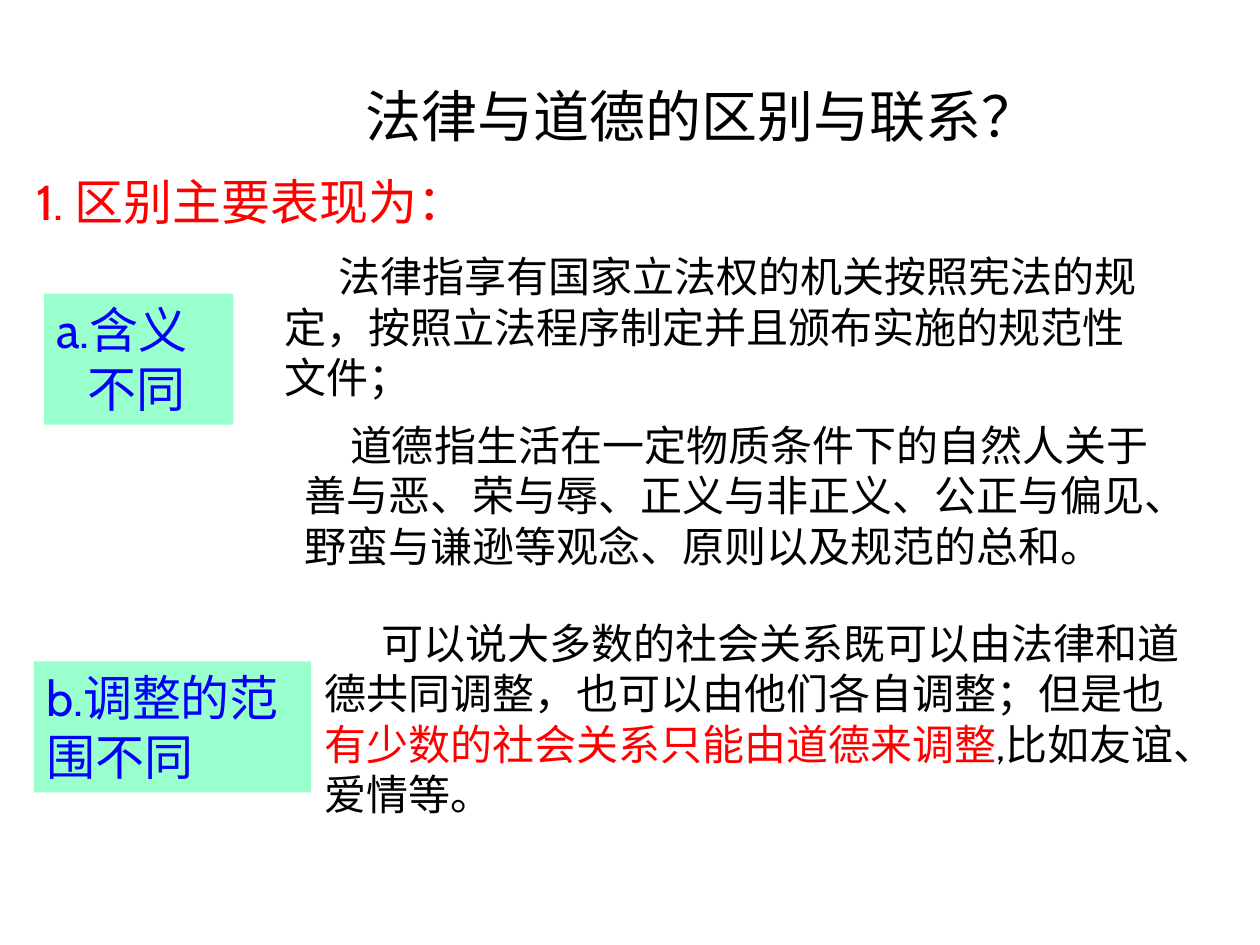
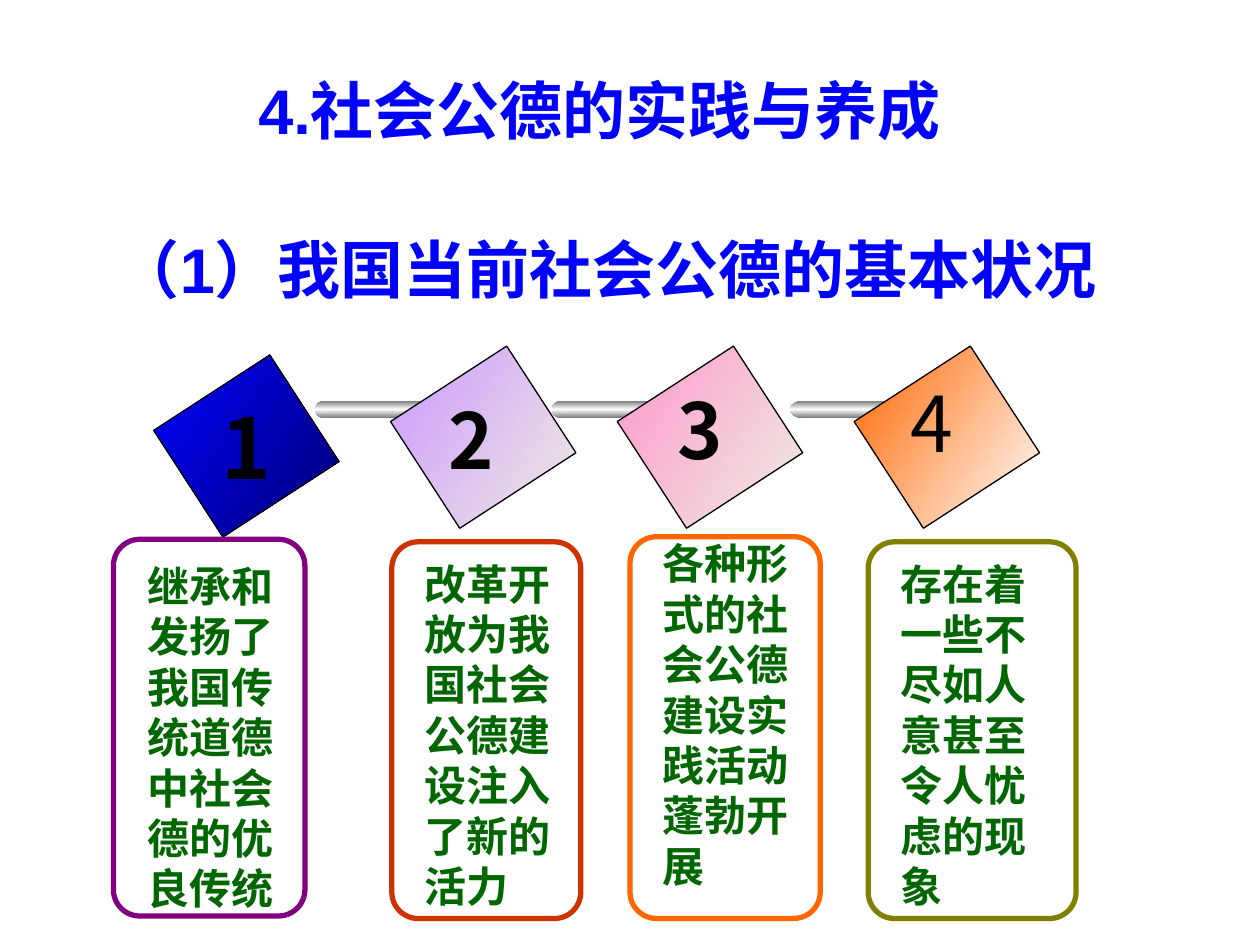
from copy import deepcopy

from pptx import Presentation
from pptx.dml.color import RGBColor
from pptx.enum.shapes import MSO_SHAPE as Shape
from pptx.enum.text import MSO_ANCHOR as Anchor, MSO_AUTO_SIZE as AutoSize, PP_ALIGN as Align
from pptx.oxml.ns import qn
from pptx.util import Inches, Pt

BLACK = RGBColor(0x00, 0x00, 0x00)
WHITE = RGBColor(0xFF, 0xFF, 0xFF)
RED = RGBColor(0xFF, 0x00, 0x00)
BLUE = RGBColor(0x00, 0x00, 0xFF)
NAVY = RGBColor(0x00, 0x00, 0x76)
MINT = RGBColor(0x99, 0xFF, 0xCC)
GREEN = RGBColor(0x00, 0x66, 0x00)
GREY = RGBColor(0x76, 0x76, 0x76)
CREAM = RGBColor(0xEE, 0xEC, 0xE1)
LILAC = RGBColor(0xCC, 0x99, 0xFF)
PINK = RGBColor(0xFF, 0x99, 0xCC)
ORANGE = RGBColor(0xFF, 0x66, 0x00)
PURPLE = RGBColor(0x80, 0x00, 0x80)
RUST = RGBColor(0xCC, 0x33, 0x00)
OLIVE = RGBColor(0x80, 0x80, 0x00)
CJK, CABIN, ARIAL = "Noto Sans CJK SC", "Cabin", "Arial"

# Slide 1: law and morality
LAW_TITLE = "法律与道德的区别与联系？"
DIFFERENCES = "1. 区别主要表现为："
# place, [(line, first-line indent)]
LABELS = [
    ((0.27, 5.25, 2.2, 1.04), [("b.调整的范围不同", 0)]),
    ((0.35, 2.33, 1.5, 1.04), [("a.含义", 0), ("不同", 0.25)]),
]
# place, first-line indent, [(text, colour)]
EXPLANATIONS = [
    ((2.16, 1.94, 7.17, 1.3), 0.43,
     [("法律指享有国家立法权的机关按照宪法的规定，按照立法程序制定并且颁布实施的规范性文件；", BLACK)]),
    ((2.48, 4.85, 7.01, 1.7), 0.45,
     [("可以说大多数的社会关系既可以由法律和道德共同调整，也可以由他们各自调整；但是也", BLACK),
      ("有少数的社会关系只能由道德来调整", RED),
      (",比如友谊、爱情等。", BLACK)]),
    ((2.32, 3.28, 7.17, 1.3), 0.36,
     [("道德指生活在一定物质条件下的自然人关于善与恶、荣与辱、正义与非正义、公正与偏见、"
       "野蛮与谦逊等观念、原则以及规范的总和。", BLACK)]),
]

# Slide 2: public morality
PRACTICE_TITLE = "4.社会公德的实践与养成"
SITUATION = "（1）我国当前社会公德的基本状况"
# left, top, gradient colours
DIAMONDS = [
    (1.45, 2.99, [BLUE, NAVY]),
    (3.33, 2.92, [LILAC, CREAM]),
    (5.13, 2.92, [PINK, CREAM]),
    (7.01, 2.92, [ORANGE, WHITE]),
]
# left, stretch of the rod that runs to the next diamond
RODS = [(2.5, 1), (4.38, 1), (6.27, 1.3)]
# shape, left, width, drop, height, white outline
ROD_PARTS = [
    (Shape.OVAL, 0, 0.17, 0, 0.14, False),
    (Shape.RECTANGLE, 0.1, 0.85, 0, 0.14, False),
    (Shape.OVAL, 0.86, 0.15, 0, 0.14, True),
    (Shape.OVAL, 0.95, 0.04, 0.05, 0.04, False),
]
ROD_TOP = 3.18
# place, size, bold
NUMBERS = [
    ((1.66, 3.09, 0.6, 0.9), 48, True),
    ((3.46, 3.07, 0.57, 0.84), 44, True),
    ((5.28, 2.99, 0.93, 0.84), 44, True),
    ((7.13, 2.93, 0.57, 0.84), 44, False),
]
# frame, outline, text left, text top, text
CARDS = [
    ((0.9, 4.28, 1.52, 2.99), PURPLE, 1.07, 4.4, "继承和发扬了我国传统道德中社会德的优良传统"),
    ((3.11, 4.3, 1.5, 2.99), RUST, 3.27, 4.38, "改革开放为我国社会公德建设注入了新的活力"),
    ((5, 4.26, 1.51, 3.03), ORANGE, 5.16, 4.22, "各种形式的社会公德建设实践活动蓬勃开展"),
    ((6.89, 4.3, 1.65, 2.99), OLIVE, 7.05, 4.38, "存在着一些不尽如人意甚至令人忧虑的现象"),
]
CARD_LINE = 3  # characters per line
CORNER = 0.21


def inches(place):
    return [Inches(length) for length in place]


def write(box, lines, font, size, colour, bold=False, wrap=True, spacing=None):
    """Fill a box with lines, each a (runs, indent) pair; runs are (text, colour)."""
    frame = box.text_frame
    frame.word_wrap = wrap
    frame.auto_size = AutoSize.SHAPE_TO_FIT_TEXT
    frame.vertical_anchor = Anchor.TOP
    for number, (runs, indent) in enumerate(lines):
        para = frame.add_paragraph() if number else frame.paragraphs[0]
        para.alignment = Align.LEFT
        if spacing:
            para.line_spacing = spacing
        properties = para._p.get_or_add_pPr()
        properties.set("indent", str(Inches(indent)))
        para.font.name = font
        para.font.size = Pt(size)
        para.font.bold = bold
        para.font.color.rgb = colour
        defaults = properties.find(qn("a:defRPr"))
        defaults.append(defaults.makeelement(qn("a:ea"), {"typeface": CJK}))
        for text, run_colour in runs:
            span = para.add_run()
            span.text = text
            if run_colour != colour:
                span.font.color.rgb = run_colour


def plain(text, colour, indent=0):
    return [(text, colour)], indent


def add_text(page, place, lines, *style, **options):
    write(page.shapes.add_textbox(*inches(place)), lines, *style, **options)


def add_page(deck, title, place, *style, **options):
    page = deck.slides.add_slide(deck.slide_layouts[5])
    heading = page.shapes.title
    heading.left, heading.top, heading.width, heading.height = inches(place)
    write(heading, [plain(title, style[-1])], *style, **options)
    return page


def add_shape(page, kind, place, line=None, weight=1):
    shape = page.shapes.add_shape(kind, *inches(place))
    shape.shadow.inherit = False
    if line is None:
        shape.line.fill.background()
    else:
        shape.line.color.rgb = line
        shape.line.width = Pt(weight)
    return shape


def shade(shape, colours, angle):
    """Spread colours evenly, at a clockwise angle fixed to the page."""
    shape.fill.gradient()
    gradient = shape.element.spPr.find(qn("a:gradFill"))
    gradient.set("rotWithShape", "0")
    stops = gradient.find(qn("a:gsLst"))
    for _ in colours[2:]:
        stops.insert(1, deepcopy(stops[0]))
    for number, (stop, colour) in enumerate(zip(shape.fill.gradient_stops, colours)):
        stop.color.rgb = colour
        stop.position = number / (len(colours) - 1)
    shape.fill.gradient_angle = 360 - angle


def add_rod(page, left, stretch):
    for kind, offset, width, drop, height, outlined in ROD_PARTS:
        place = (left + offset * stretch, ROD_TOP + drop, width * stretch, height)
        part = add_shape(page, kind, place, WHITE if outlined else None)
        shade(part, [GREY, WHITE, GREY], 90)


def build_law_page(deck):
    page = add_page(deck, LAW_TITLE, (2.8, 0.6, 6.69, 0.64), CJK, 32, BLACK)
    # Labels and heading
    for place, lines in LABELS:
        label = add_shape(page, Shape.RECTANGLE, place)
        label.fill.solid()
        label.fill.fore_color.rgb = MINT
        write(label, [plain(text, BLUE, indent) for text, indent in lines], CABIN, 28, BLUE)
    add_text(page, (0.19, 1.31, 3.82, 0.57), [plain(DIFFERENCES, RED)], CABIN, 28, RED, wrap=False)
    # Explanations
    for place, indent, runs in EXPLANATIONS:
        add_text(page, place, [(runs, indent)], CABIN, 24, BLACK)


def build_practice_page(deck):
    page = add_page(deck, PRACTICE_TITLE, (1.95, 0.63, 6.9, 0.58), ARIAL, 36, BLUE,
                    bold=True, spacing=0.8)
    add_text(page, (0.83, 1.78, 8.51, 0.7), [plain(SITUATION, BLUE)], ARIAL, 36, BLUE, bold=True)
    # Diamonds, each covering the end of the rod before it
    for number, (left, top, colours) in enumerate(DIAMONDS):
        if number:
            add_rod(page, *RODS[number - 1])
        diamond = add_shape(page, Shape.RECTANGLE, (left, top, 1.01, 1.1), BLACK, 0.75)
        diamond.rotation = 57
        shade(diamond, colours, 33)
    for number, (place, size, bold) in enumerate(NUMBERS, 1):
        add_text(page, place, [plain(str(number), BLACK)], CJK, size, BLACK, bold=bold, wrap=False)
    # Cards
    for place, colour, left, top, text in CARDS:
        card = add_shape(page, Shape.ROUNDED_RECTANGLE, place, colour, 3)
        card.fill.background()
        card.adjustments[0] = CORNER / place[2]
        lines = [plain(text[start:start + CARD_LINE], GREEN)
                 for start in range(0, len(text), CARD_LINE)]
        add_text(page, (left, top, 1.2, 2.9), lines, ARIAL, 24, GREEN, bold=True, wrap=False)


def main():
    deck = Presentation()
    deck.slide_width, deck.slide_height = Inches(10), Inches(7.5)
    build_law_page(deck)
    build_practice_page(deck)
    deck.save("out.pptx")


if __name__ == "__main__":
    main()
